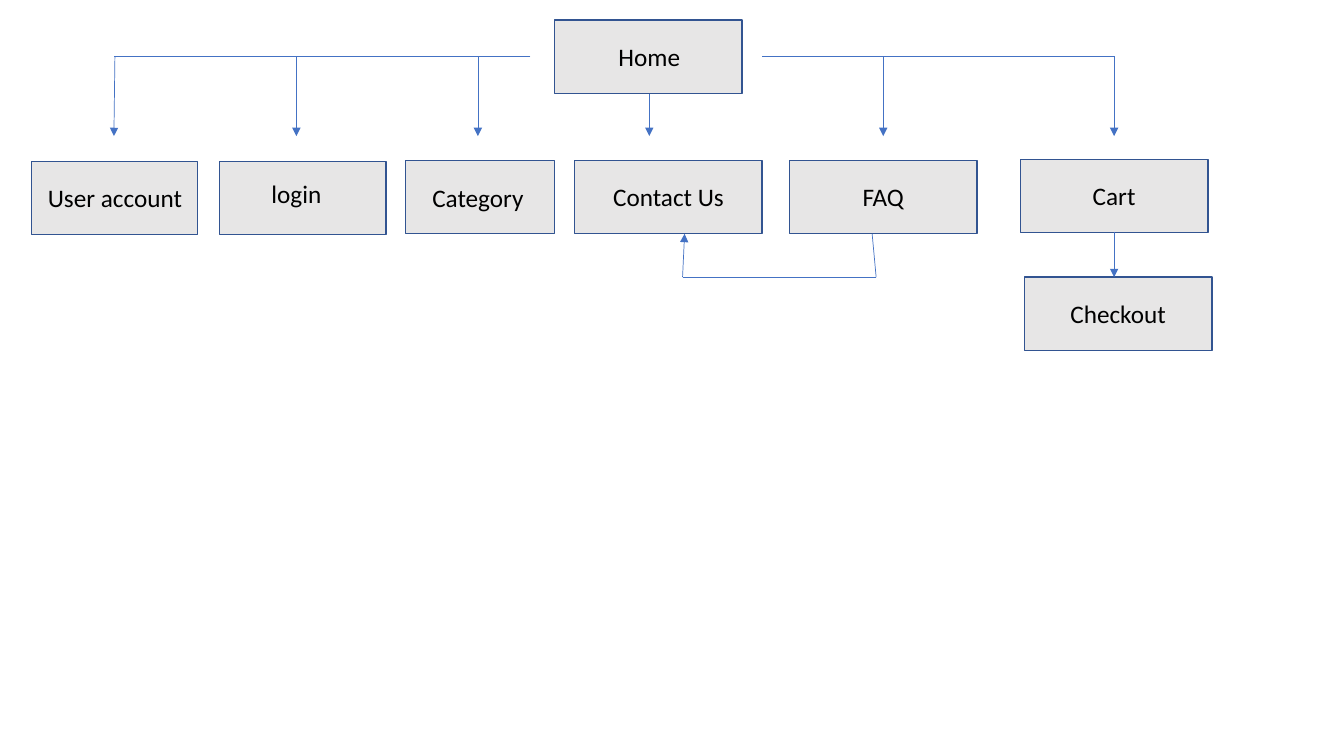
from pptx import Presentation
from pptx.dml.color import RGBColor
from pptx.enum.shapes import MSO_CONNECTOR as CONN, MSO_SHAPE as SHAPE
from pptx.enum.text import MSO_AUTO_SIZE as FIT, PP_ALIGN as ALIGN
from pptx.oxml.ns import qn
from pptx.util import Inches, Pt
from lxml import etree

COLORS = {"box": "E7E6E6", "border": "325491", "line": "4472C4", "text": "000000"}
FONT, SIZE = "Calibri", 18
BOX_H, LABEL_H, LABEL_W = 0.73, 0.4, 1.48

# Pages: label, box left, top, width, then label left, top, width
PAGES = [
    ("Home", 5.5, 0.2, 1.86, 5.7, 0.36, LABEL_W),
    ("User account", 0.31, 1.6, 1.65, 0.3, 1.76, 1.68),
    ("login", 2.18, 1.6, 1.65, 2.2, 1.72, LABEL_W),
    ("Category", 4.02, 1.59, 1.48, 4, 1.76, LABEL_W),
    ("Contact Us", 5.7, 1.59, 1.86, 5.89, 1.75, LABEL_W),
    ("FAQ", 7.83, 1.59, 1.86, 8.02, 1.75, LABEL_W),
    ("Cart", 10.12, 1.58, 1.86, 10.31, 1.74, LABEL_W),
    ("Checkout", 10.16, 2.75, 1.86, 10.35, 2.91, LABEL_W),
]

# Routes: points joined in order, arrowhead on the last segment
TRUNK_Y, DROP_Y, LOOP_Y = 0.56, 1.35, 2.75
CART_X = 11.05
TRUNKS = [[(5.26, TRUNK_Y), (1.13, TRUNK_Y)], [(7.56, TRUNK_Y), (CART_X, TRUNK_Y)]]
DROPS = [[(x, TRUNK_Y), (x, DROP_Y)] for x in (2.94, 4.74, 8.76, CART_X)]
ARROWS = DROPS + [
    [(1.14, TRUNK_Y), (1.13, DROP_Y)],
    [(6.44, 0.93), (6.44, DROP_Y)],
    [(CART_X, 2.3), (CART_X, LOOP_Y)],
    [(8.65, 2.32), (8.69, LOOP_Y), (6.77, LOOP_Y), (6.79, 2.32)],
]


def rgb(name):
    return RGBColor.from_string(COLORS[name])


def add_page(s, label, x, y, w, label_x, label_y, label_w):
    box = s.shapes.add_shape(SHAPE.RECTANGLE, Inches(x), Inches(y), Inches(w), Inches(BOX_H))
    box.shadow.inherit = False
    box.fill.solid()
    box.fill.fore_color.rgb = rgb("box")
    box.line.color.rgb = rgb("border")
    box.line.width = Pt(1)

    tf = s.shapes.add_textbox(Inches(label_x), Inches(label_y),
                              Inches(label_w), Inches(LABEL_H)).text_frame
    tf.word_wrap = True
    tf.auto_size = FIT.SHAPE_TO_FIT_TEXT
    p = tf.paragraphs[0]
    p.text = label
    p.alignment = ALIGN.CENTER
    p.font.name, p.font.size = FONT, Pt(SIZE)
    p.font.color.rgb = rgb("text")


def add_route(s, points, arrow=False):
    for start, end in zip(points, points[1:]):
        line = s.shapes.add_connector(CONN.STRAIGHT, *map(Inches, start + end))
        line.line.color.rgb = rgb("line")
        line.line.width = Pt(0.5)
        sp_pr = line._element.spPr
        etree.SubElement(sp_pr, qn("a:effectLst"))
    if arrow:
        etree.SubElement(sp_pr.find(qn("a:ln")), qn("a:tailEnd"), type="triangle")


prs = Presentation()
prs.slide_width, prs.slide_height = Inches(13.33), Inches(7.5)
s = prs.slides.add_slide(prs.slide_layouts[6])

# Page boxes
for page in PAGES:
    add_page(s, *page)

# Links between pages
for points in TRUNKS:
    add_route(s, points)
for points in ARROWS:
    add_route(s, points, arrow=True)

prs.save("out.pptx")
